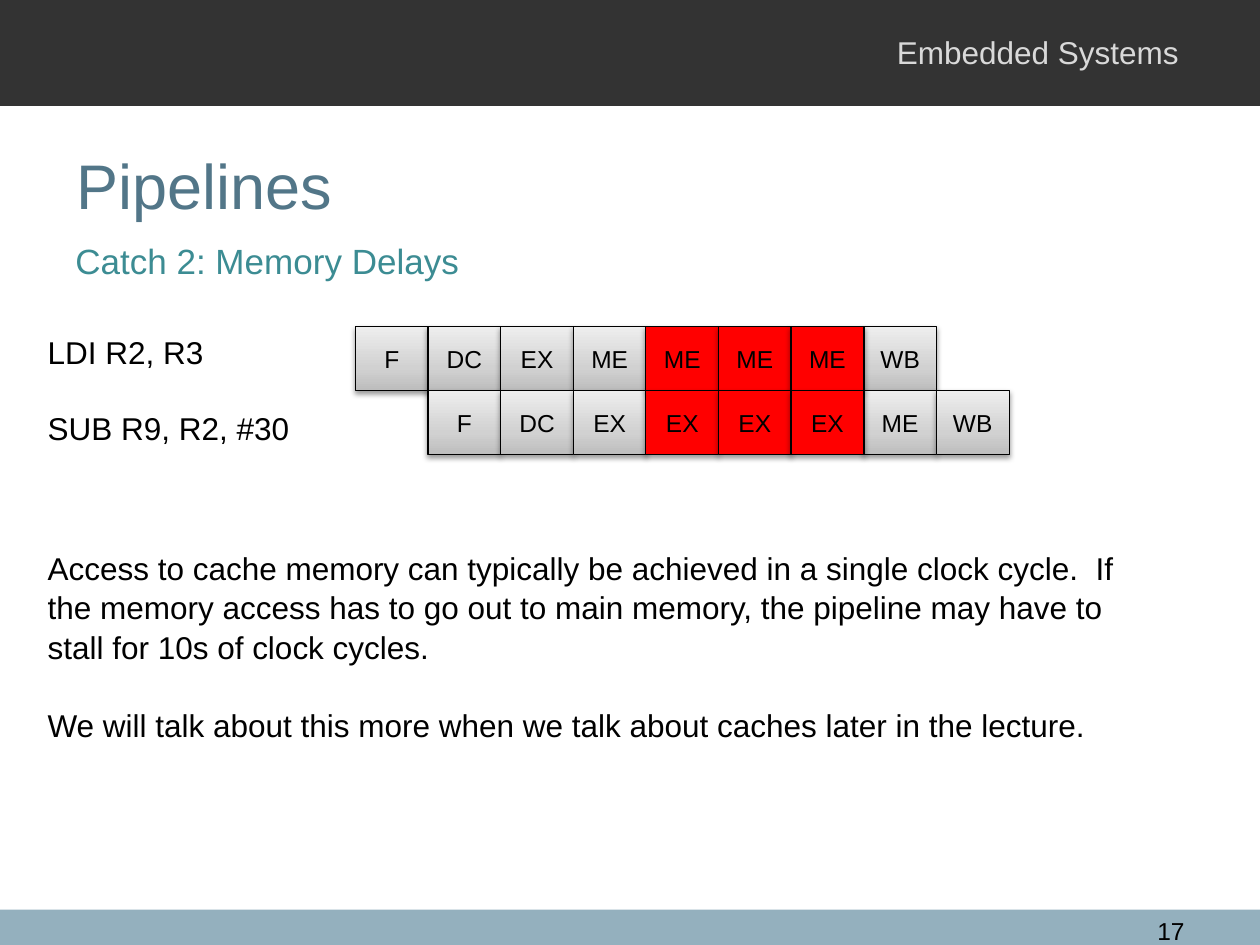
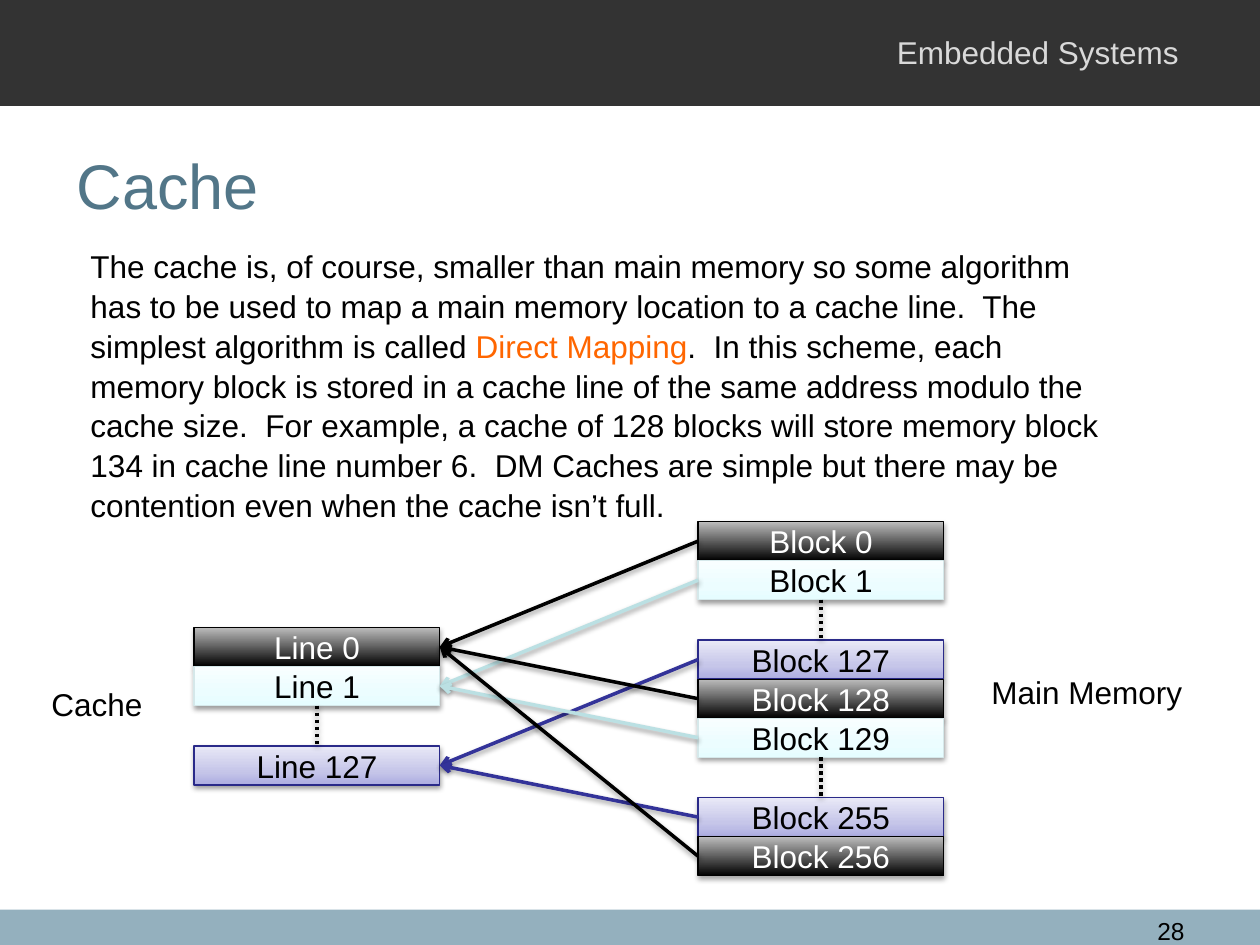
import pptx
import pptx.util
import pptx.dml.color
import pptx.enum.dml
import pptx.enum.shapes
import pptx.enum.text
import pptx.oxml.ns
from lxml import etree

Inches, Pt = pptx.util.Inches, pptx.util.Pt
RECT = pptx.enum.shapes.MSO_SHAPE.RECTANGLE
LINE = pptx.enum.shapes.MSO_CONNECTOR.STRAIGHT
ALIGN = pptx.enum.text.PP_ALIGN
MIDDLE = pptx.enum.text.MSO_ANCHOR.MIDDLE
qn = pptx.oxml.ns.qn

FONT = "Arial"
BLACK, WHITE, RED = "000000", "FFFFFF", "FF0000"
BAND, HEAD, COURSE = "94B0BE", "333333", "D9D9D9"
TITLE, SUB, TERM = "527688", "3C8C93", "FF6600"
GREY = ((0, "BDBDBD"), (35, "D1D1D1"), (100, "EEEEEE"))
DARK = ((0, "000000"), (100, "BDBDBD"))
ICE = ((0, "E6FDFF"), (35, "ECFDFF"), (100, "F8FEFF"))
VIOLET = ((0, "ADADE1"), (35, "C6C6E9"), (100, "E9E9F7"))

SIZE = 128  # lines in the cache
# cache line: fill, border, text colour, arrow colour
LOOKS = {
    0: (DARK, BLACK, WHITE, BLACK),
    1: (ICE, "D5E8EA", BLACK, "BBE0E3"),
    127: (VIOLET, "2A2A89", BLACK, "333399"),
}


def rgb(code):
    return pptx.dml.color.RGBColor.from_string(code)


def add(parent, tag, **attrs):
    return etree.SubElement(parent, qn(tag), {k: str(v) for k, v in attrs.items()})


def cast(shape, alpha=38, dist=1.6):
    """Give a shape or connector a soft shadow straight below it."""
    effects = add(shape._element.spPr, "a:effectLst")
    shade = add(effects, "a:outerShdw", blurRad=Pt(3.1), dist=Pt(dist),
                dir=5400000, rotWithShape=0)
    add(add(shade, "a:srgbClr", val=BLACK), "a:alpha", val=alpha * 1000)


def blend(shape, stops):
    """Fill with a gradient that runs from bottom to top."""
    shape.fill.gradient()
    shape.fill.gradient_angle = 90
    holder = next(shape._element.spPr.iter(qn("a:gsLst")))
    for old in list(holder):
        holder.remove(old)
    for pos, code in stops:
        add(add(holder, "a:gs", pos=pos * 1000), "a:srgbClr", val=code)


def style(para, size, color, align=ALIGN.LEFT):
    para.alignment = align
    para.font.name, para.font.size = FONT, Pt(size)
    para.font.color.rgb = rgb(color)


def bar(slide, box, color):
    shape = slide.shapes.add_shape(RECT, *map(Inches, box))
    shape.shadow.inherit = False
    shape.fill.solid()
    shape.fill.fore_color.rgb = rgb(color)
    shape.line.fill.background()


def tile(slide, box, text, fill, size, edge=BLACK, ink=BLACK):
    """Outlined, shadowed rectangle; fill is a colour or gradient stops."""
    shape = slide.shapes.add_shape(RECT, *map(Inches, box))
    if isinstance(fill, str):
        shape.fill.solid()
        shape.fill.fore_color.rgb = rgb(fill)
    else:
        blend(shape, fill)
    shape.line.color.rgb = rgb(edge)
    shape.line.width = Pt(0.75)
    if fill is DARK:
        cast(shape, 35, 1.8)
    else:
        cast(shape)
    frame = shape.text_frame
    frame.vertical_anchor = MIDDLE
    frame.text = text
    style(frame.paragraphs[0], size, ink, ALIGN.CENTER)
    return shape


def label(slide, box, text, size=18, color=BLACK, align=ALIGN.LEFT, wrap=False):
    frame = slide.shapes.add_textbox(*map(Inches, box)).text_frame
    frame.word_wrap = wrap
    frame.text = text
    style(frame.paragraphs[0], size, color, align)
    return frame


def prose(slide, box, paras):
    """Wrapped paragraphs, each a list of (text, colour) runs."""
    frame = slide.shapes.add_textbox(*map(Inches, box)).text_frame
    frame.word_wrap = True
    for i, runs in enumerate(paras):
        para = frame.add_paragraph() if i else frame.paragraphs[0]
        para.line_spacing = 1.05
        if i:
            para.space_before = Pt(21.6)
        style(para, 18, BLACK)
        for text, color in runs:
            run = para.add_run()
            run.text = text
            if color != BLACK:
                run.font.color.rgb = rgb(color)


def link(slide, start, end, color, dotted=False):
    """Join two (shape, side) pairs by a dotted line or an arrow."""
    line = slide.shapes.add_connector(LINE, 0, 0, 0, 0)
    line.begin_connect(*start)
    line.end_connect(*end)
    line.line.color.rgb = rgb(color)
    line.line.width = Pt(2)
    if dotted:
        line.line.dash_style = pptx.enum.dml.MSO_LINE.ROUND_DOT
    else:
        add(line.line._get_or_add_ln(), "a:tailEnd", type="arrow")
    cast(line)


def base(deck, title, number):
    """Add a slide with the shared bands, title and page number."""
    slide = deck.slides.add_slide(deck.slide_layouts[6])
    bar(slide, (0, 7.22, 10, 0.28), BAND)
    bar(slide, (0, 0, 10, 0.84), HEAD)
    label(slide, (7.02, 0.21, 2.5, 0.4), "Embedded Systems", color=COURSE)
    head = label(slide, (0.51, 0.84, 9, 1.25), title, 36, TITLE, wrap=True)
    head.vertical_anchor = MIDDLE
    label(slide, (8.86, 7.22, 0.64, 0.24), number, 14, align=ALIGN.RIGHT, wrap=True)
    return slide


def stages(slide, box):
    """Two instructions, the second one cycle later; stalled cycles are red."""
    left, top, wide, high = box
    step = (wide - 0.58) / 8
    rows = ("F DC EX ME ME ME ME WB", "F DC EX EX EX EX ME WB")
    cells = [(row, row + i, name) for row, names in enumerate(rows)
             for i, name in enumerate(names.split())]
    stall = range(4, 7)
    for row, cycle, name in sorted(cells, key=lambda c: c[1] in stall):
        spot = (left + cycle * step, top + row * high / 2, 0.58, high / 2)
        tile(slide, spot, name, RED if cycle in stall else GREY, 14)


def stack(slide, left, top, word, numbers):
    """Column of numbered rows, with a dotted line where numbers are skipped."""
    rows, last = {}, None
    for n in numbers:
        skip = last is not None and n != last + 1
        top += 0.32 if skip else 0
        fill, edge, ink, _ = LOOKS[n % SIZE]
        rows[n] = tile(slide, (left, top, 1.95, 0.31), f"{word} {n}", fill, 18, edge, ink)
        if skip:
            link(slide, (rows[last], 2), (rows[n], 0), BLACK, dotted=True)
        top += 0.31
        last = n
    return rows


def mapping(slide, left, top):
    """Memory blocks pointing at the cache line they are stored in."""
    blocks = stack(slide, left + 4, top, "Block", (0, 1, 127, 128, 129, 255, 256))
    label(slide, (left + 6.23, top + 1.15, 1.73, 0.4), "Main Memory")
    lines = stack(slide, left, top + 0.84, "Line", LOOKS)
    label(slide, (left - 1.23, top + 1.25, 0.93, 0.4), "Cache")
    for n, block in blocks.items():
        slot = n % SIZE
        link(slide, (block, 1), (lines[slot], 3), LOOKS[slot][3])


def delays(deck):
    slide = base(deck, "Pipelines", "17")
    label(slide, (0.5, 1.85, 9, 0.49), "Catch 2: Memory Delays", 20, SUB, wrap=True)
    prose(slide, (0.28, 4.29, 8.96, 1.62), [
        [("Access to cache memory can typically be achieved in a single clock cycle.  "
          "If the memory access has to go out to main memory, the pipeline may have "
          "to stall for 10s of clock cycles.", BLACK)],
        [("We will talk about this more when we talk about caches later in the "
          "lecture.", BLACK)],
    ])
    stages(slide, (2.82, 2.59, 5.19, 1.02))
    label(slide, (0.28, 2.59, 1.45, 0.4), "LDI R2, R3")
    label(slide, (0.28, 3.2, 2.14, 0.4), "SUB R9, R2, #30")


def cache(deck):
    slide = base(deck, "Cache", "28")
    prose(slide, (0.62, 1.9, 8.33, 2.22), [[
        ("The cache is, of course, smaller than main memory so some algorithm has to "
         "be used to map a main memory location to a cache line.  The simplest "
         "algorithm is called ", BLACK),
        ("Direct Mapping", TERM),
        (".  In this scheme, each memory block is stored in a cache line of the same "
         "address modulo the cache size.  For example, a cache of 128 blocks will "
         "store memory block 134 in cache line number 6.  DM Caches are simple but "
         "there may be contention even when the cache isn’t full.", BLACK),
    ]])
    mapping(slide, 1.54, 4.14)


def main():
    deck = pptx.Presentation()
    deck.slide_width, deck.slide_height = Inches(10), Inches(7.5)
    delays(deck)
    cache(deck)
    deck.save("out.pptx")


if __name__ == "__main__":
    main()
